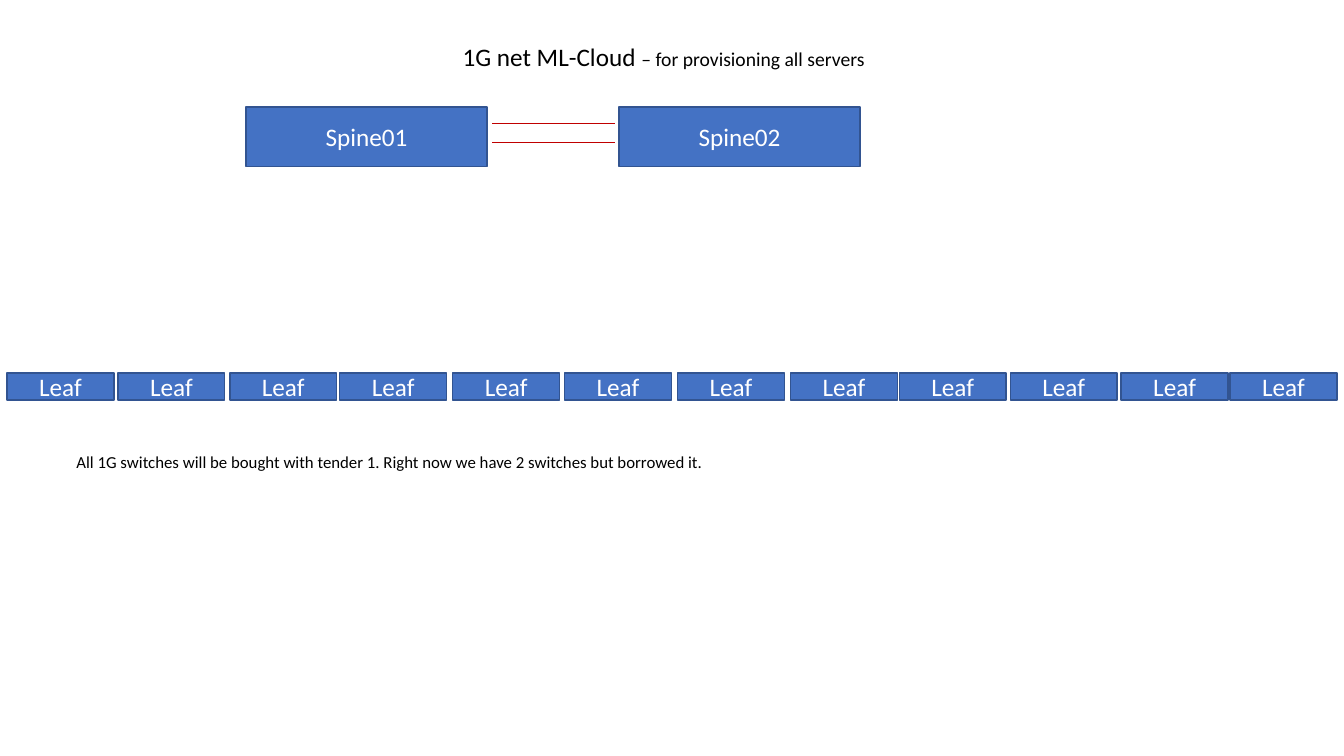
import pptx
import pptx.util
import pptx.dml.color
import pptx.enum.shapes
import pptx.enum.text
import pptx.oxml.ns
import lxml.etree

Inches = pptx.util.Inches
Pt = pptx.util.Pt

# Content: text runs are (words, size)
TITLE = [("1G net\u00a0ML-Cloud ", 18), ("– for provisioning all servers", 14)]
NOTE = [("All 1G switches will be bought with tender 1. "
         "Right now we have 2 switches but borrowed it.", 12)]
SPINES = [("Spine01", 2.44), ("Spine02", 6.14)]
LEAVES = [0.07, 1.17, 2.28, 3.37, 4.49, 5.6, 6.72, 7.84, 8.92, 10.02, 11.12, 12.2]
LINKS = [1.22, 1.41]

FONT = "Calibri"
COLORS = {"fill": "4472C4", "edge": "325491", "link": "C00000",
          "text": "000000", "label": "FFFFFF"}

deck = pptx.Presentation()
deck.slide_width, deck.slide_height = Inches(13.33), Inches(7.5)
slide = deck.slides.add_slide(deck.slide_layouts[6])
shapes = slide.shapes


def color(name):
    return pptx.dml.color.RGBColor.from_string(COLORS[name])


def add_runs(para, runs, name):
    for words, size in runs:
        run = para.add_run()
        run.text = words
        run.font.name = FONT
        run.font.size = Pt(size)
        run.font.color.rgb = color(name)


def add_text(runs, left, top, width, height):
    box = shapes.add_textbox(*map(Inches, (left, top, width, height)))
    box.text_frame.word_wrap = True
    box.text_frame.auto_size = pptx.enum.text.MSO_AUTO_SIZE.SHAPE_TO_FIT_TEXT
    add_runs(box.text_frame.paragraphs[0], runs, "text")


def add_switch(label, left, top, width, height):
    box = shapes.add_shape(pptx.enum.shapes.MSO_SHAPE.RECTANGLE,
                           *map(Inches, (left, top, width, height)))
    box.shadow.inherit = False
    box.fill.solid()
    box.fill.fore_color.rgb = color("fill")
    box.line.color.rgb = color("edge")
    box.line.width = Pt(1)
    frame = box.text_frame
    frame.vertical_anchor = pptx.enum.text.MSO_ANCHOR.MIDDLE
    para = frame.paragraphs[0]
    para.alignment = pptx.enum.text.PP_ALIGN.CENTER
    add_runs(para, [(label, 18)], "label")


def add_link(left, right, top):
    link = shapes.add_connector(pptx.enum.shapes.MSO_CONNECTOR.STRAIGHT,
                                *map(Inches, (left, top, right, top)))
    link.line.color.rgb = color("link")
    link.line.width = Pt(0.5)
    props = link.element.spPr
    lxml.etree.SubElement(props, pptx.oxml.ns.qn("a:effectLst"))


# Title
add_text(TITLE, 4.49, 0.36, 7.81, 0.4)

# Spine switches and the links between them
for label, left in SPINES:
    add_switch(label, left, 1.06, 2.39, 0.59)
for top in LINKS:
    add_link(4.88, 6.1, top)

# Row of leaf switches
for left in LEAVES:
    add_switch("Leaf", left, 3.7, 1.06, 0.27)

# Note
add_text(NOTE, 0.66, 4.43, 12.45, 0.3)

deck.save("out.pptx")
